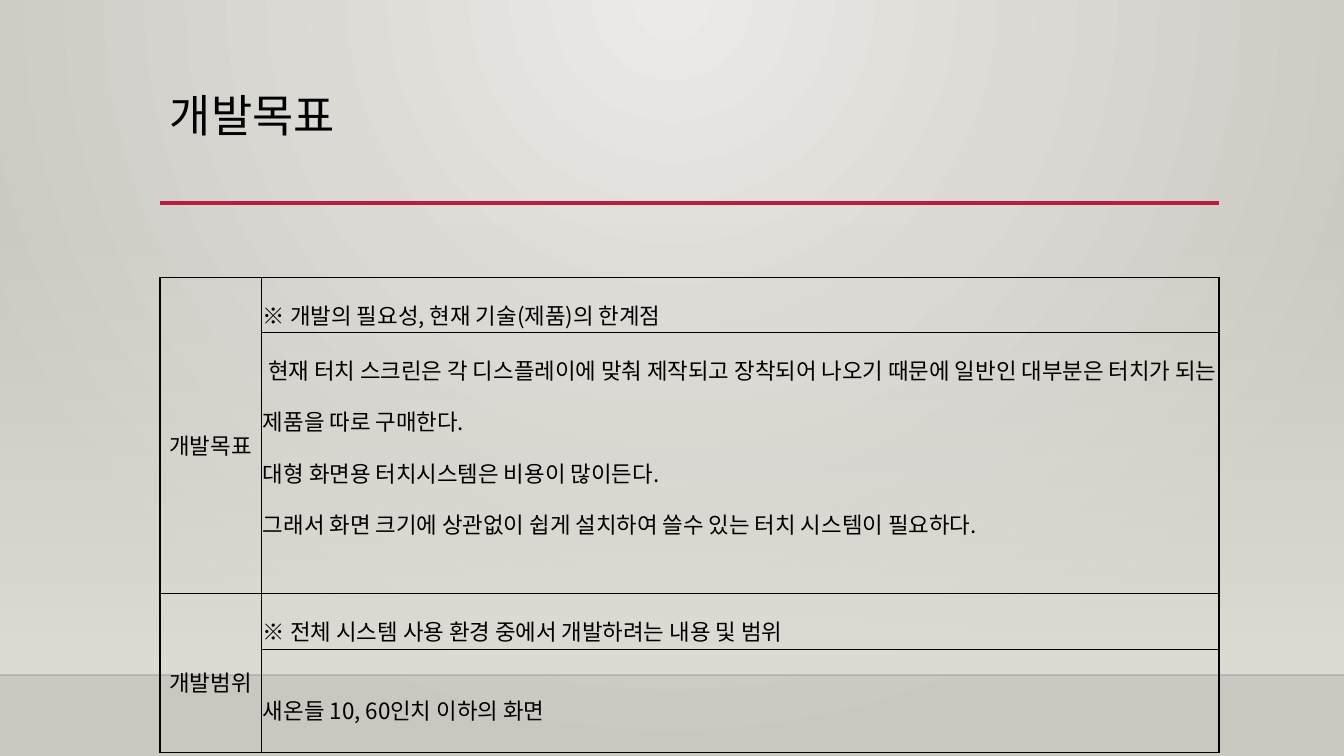
from dataclasses import dataclass
from typing import NamedTuple

from pptx import Presentation
from pptx import oxml
from pptx import util as u
from pptx.dml.color import RGBColor
from pptx.enum import shapes, text
from pptx.oxml.ns import qn

EMU_PER_PX = 914400 / 100.8
NS = 'xmlns:a="http://schemas.openxmlformats.org/drawingml/2006/main"'
ALIGN = text.PP_ALIGN
ANCHOR = text.MSO_ANCHOR


@dataclass(frozen=True)
class Theme:
    ink: str = "000000"
    accent: str = "B71E42"
    wall_light: str = "ECEAE7"
    wall_dark: str = "CAC7C1"
    haze: str = "DFDBD5"
    floor_edge: str = "000001"
    title_font: str = "Calibri"
    body_font: str = "Noto Sans CJK KR"
    title_size: int = 32
    body_size: int = 16
    thin: float = 0.28
    thick: float = 1.98


class Rule(NamedTuple):
    left: int
    right: int
    y: int
    color: str
    width: float
    opacity: int = 100


class Section(NamedTuple):
    label: str
    heading: str
    body: list[str]
    heading_height: int
    body_height: int
    body_anchor: ANCHOR


THEME = Theme()
RULES = [
    Rule(0, 1344, 675, THEME.floor_edge, 1, opacity=20),
    Rule(160, 1219, 203, THEME.accent, 2.5),
]
SECTIONS = [
    Section(
        "개발목표",
        "※ 개발의 필요성, 현재 기술(제품)의 한계점",
        [
            " 현재 터치 스크린은 각 디스플레이에 맞춰 제작되고 장착되어 나오기 때문에 "
            "일반인 대부분은 터치가 되는 제품을 따로 구매한다.",
            "대형 화면용 터치시스템은 비용이 많이든다.",
            "그래서 화면 크기에 상관없이 쉽게 설치하여 쓸수 있는 터치 시스템이 필요하다.",
        ],
        55, 261, ANCHOR.TOP,
    ),
    Section(
        "개발범위",
        "※ 전체 시스템 사용 환경 중에서 개발하려는 내용 및 범위",
        ["새온들 10, 60인치 이하의 화면"],
        56, 103, ANCHOR.MIDDLE,
    ),
]


def px(length: int) -> u.Emu:
    return u.Emu(round(length * EMU_PER_PX))


def gradient(start: str, end: str, direction: str, start_alpha: int = 100):
    return oxml.parse_xml(
        f'<a:gradFill {NS} rotWithShape="1"><a:gsLst>'
        f'<a:gs pos="0"><a:srgbClr val="{start}"><a:alpha val="{start_alpha * 1000}"/></a:srgbClr></a:gs>'
        f'<a:gs pos="100000"><a:srgbClr val="{end}"/></a:gs>'
        f'</a:gsLst>{direction}</a:gradFill>'
    )


def replace_gradient(fill_parent, new_fill) -> None:
    old_fill = fill_parent.find(qn("a:gradFill"))
    fill_parent.replace(old_fill, new_fill)


def paint_wall(page) -> None:
    page.background.fill.gradient()
    circle = '<a:path path="circle"><a:fillToRect l="43000" r="43000" b="100000"/></a:path>'
    wall = page.element.cSld.find(qn("p:bg")).find(qn("p:bgPr"))
    replace_gradient(wall, gradient(THEME.wall_light, THEME.wall_dark, circle))

    haze = page.shapes.add_shape(shapes.MSO_SHAPE.RECTANGLE, 0, px(223), px(1344), px(452))
    haze.shadow.inherit = False
    haze.line.fill.background()
    haze.fill.gradient()
    downward = '<a:lin ang="5400000" scaled="0"/>'
    replace_gradient(haze.element.spPr, gradient(THEME.haze, THEME.haze, downward, start_alpha=0))


def draw_rule(page, rule: Rule) -> None:
    line = page.shapes.add_connector(
        shapes.MSO_CONNECTOR.STRAIGHT, px(rule.left), px(rule.y), px(rule.right), px(rule.y)
    )
    line.line.width = u.Pt(rule.width)
    line.line.color.rgb = RGBColor.from_string(rule.color)
    color = line.element.spPr.find(".//" + qn("a:srgbClr"))
    color.append(oxml.parse_xml(f'<a:alpha {NS} val="{rule.opacity * 1000}"/>'))
    line.element.spPr.append(oxml.parse_xml(f"<a:effectLst {NS}/>"))


def write(frame, lines: list[str], *, size: int, font: str, align: ALIGN, spacing: float) -> None:
    for index, line in enumerate(lines):
        para = frame.paragraphs[0] if index == 0 else frame.add_paragraph()
        para.alignment = align
        para.line_spacing = spacing
        span = para.add_run()
        span.text = line
        span.font.size = u.Pt(size)
        span.font.name = font
        span.font.color.rgb = RGBColor.from_string(THEME.ink)
        east_asian = oxml.parse_xml(f'<a:ea {NS} typeface="{THEME.body_font}"/>')
        span.font._element.find(qn("a:latin")).addnext(east_asian)


def write_title(page, title: str) -> None:
    box = page.shapes.add_textbox(px(160), px(89), px(1059), px(116))
    box.text_frame.word_wrap = True
    write(box.text_frame, [title], size=THEME.title_size, font=THEME.title_font,
          align=ALIGN.LEFT, spacing=0.9)


def style_cell(cell, left: float, right: float) -> None:
    """Clear the fill and draw the borders; left and right are widths in points."""
    properties = cell._tc.get_or_add_tcPr()
    for side, width in {"L": left, "R": right, "T": THEME.thin, "B": THEME.thin}.items():
        properties.append(oxml.parse_xml(
            f'<a:ln{side} {NS} w="{u.Pt(width)}"><a:solidFill><a:srgbClr val="{THEME.ink}"/>'
            f'</a:solidFill><a:prstDash val="solid"/></a:ln{side}>'
        ))
    cell.fill.background()
    cell.margin_left = cell.margin_right = cell.margin_top = cell.margin_bottom = px(2)


def fill_cell(cell, lines: list[str], align: ALIGN, anchor: ANCHOR = ANCHOR.MIDDLE) -> None:
    cell.vertical_anchor = anchor
    write(cell.text_frame, lines, size=THEME.body_size, font=THEME.body_font,
          align=align, spacing=1.6)


def draw_table(page, sections: list[Section]) -> None:
    heights = [height for section in sections
               for height in (section.heading_height, section.body_height)]
    table = page.shapes.add_table(
        len(heights), 2, px(160), px(277), px(1059), px(sum(heights))
    ).table
    table.first_row = table.horz_banding = False
    for column, width in zip(table.columns, (101, 958)):
        column.width = px(width)
    for row, height in zip(table.rows, heights):
        row.height = px(height)
        style_cell(row.cells[0], THEME.thick, THEME.thin)
        style_cell(row.cells[1], THEME.thin, THEME.thick)
    for index, section in enumerate(sections):
        top = 2 * index
        label = table.cell(top, 0)
        label.merge(table.cell(top + 1, 0))
        fill_cell(label, [section.label], ALIGN.CENTER)
        fill_cell(table.cell(top, 1), [section.heading], ALIGN.JUSTIFY)
        fill_cell(table.cell(top + 1, 1), section.body, ALIGN.JUSTIFY, section.body_anchor)


def main() -> None:
    deck = Presentation()
    deck.slide_width, deck.slide_height = px(1344), px(756)
    page = deck.slides.add_slide(deck.slide_layouts[6])
    paint_wall(page)
    for rule in RULES:
        draw_rule(page, rule)
    write_title(page, "개발목표")
    draw_table(page, SECTIONS)
    deck.save("out.pptx")


if __name__ == "__main__":
    main()
